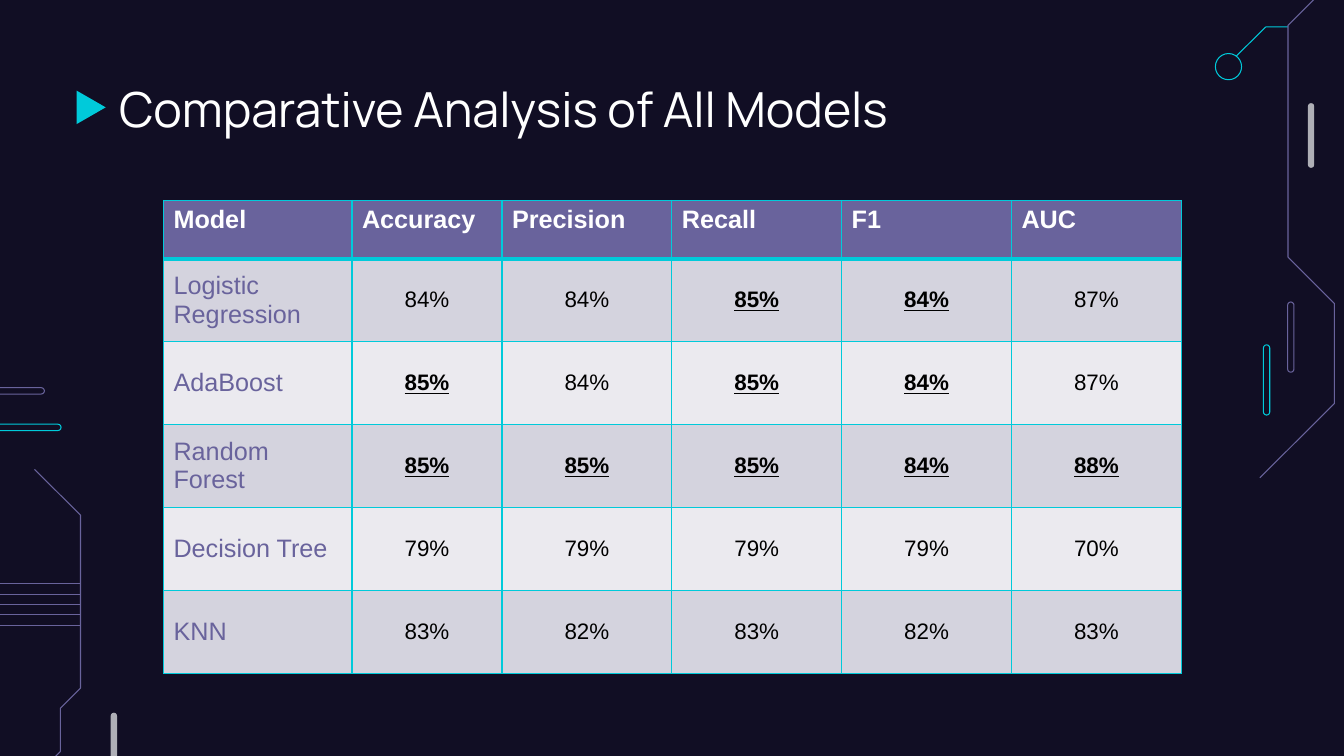
import pptx
import pptx.dml.color
import pptx.enum.shapes
import pptx.enum.text
import pptx.oxml
import pptx.oxml.ns
import pptx.util

Cm, Pt = pptx.util.Cm, pptx.util.Pt
RGBColor = pptx.dml.color.RGBColor
SHAPE = pptx.enum.shapes.MSO_SHAPE
ALIGN, ANCHOR = pptx.enum.text.PP_ALIGN, pptx.enum.text.MSO_ANCHOR

NIGHT = RGBColor(0x11, 0x0E, 0x24)
CYAN = RGBColor(0x00, 0xCA, 0xDA)
PURPLE = RGBColor(0x69, 0x63, 0x9C)
GREY = RGBColor(0xAF, 0xAF, 0xB6)
LILAC = RGBColor(0xD4, 0xD3, 0xDE)
MIST = RGBColor(0xEB, 0xEA, 0xEF)
WHITE = RGBColor(0xFF, 0xFF, 0xFF)
BLACK = RGBColor(0x00, 0x00, 0x00)

# Content
HEADING = "Comparative Analysis of All Models"
METRICS = ["Model", "Accuracy", "Precision", "Recall", "F1", "AUC"]
SCORES = [
    ("Logistic Regression", 84, 84, 85, 84, 87),
    ("AdaBoost", 85, 84, 85, 84, 87),
    ("Random Forest", 85, 85, 85, 84, 88),
    ("Decision Tree", 79, 79, 79, 79, 70),
    ("KNN", 83, 82, 83, 82, 83),
]

# Decoration, in cm: left, top, width, height, line colour, fill colour
PILLS = [
    (-0.23, 10.69, 1.77, 0.16, CYAN, None),
    (-0.65, 9.77, 1.77, 0.16, PURPLE, None),
    (31.84, 8.69, 0.16, 1.77, CYAN, None),
    (32.45, 7.61, 0.16, 1.77, PURPLE, None),
    (2.79, 17.96, 0.16, 1.63, None, GREY),
    (32.96, 2.6, 0.16, 1.63, None, GREY),
]
RING = (30.63, 1.35, 0.66, 0.66)
TRACES = [
    (CYAN, [(31.16, 1.41), (31.9, 0.68), (32.46, 0.68)]),
    (PURPLE, [(0.87, 11.83), (2.03, 12.98), (2.03, 17.34),
              (1.52, 17.85), (1.52, 18.94), (0.97, 19.48)]),
    (PURPLE, [(35.14, -2.03), (32.46, 0.64), (32.46, 6.48),
              (33.63, 7.65), (33.63, 10.17), (31.75, 12.04)]),
]
BUS_LEFT, BUS_RIGHT, BUS_TOP, BUS_STEP, BUS_COUNT = -1.55, 2.03, 14.71, 0.26, 5

# Table layout, in cm
TABLE_LEFT, TABLE_TOP = 4.12, 5.05
COLUMN_WIDTHS = [4.75, 3.78] + [4.28] * 4
ROW_HEIGHTS = [1.47] + [2.09] * len(SCORES)


def apply(target, formats):
    for name, value in formats.items():
        setattr(target, name, value)


def paint(shape, line=None, fill=None):
    shape.shadow.inherit = False
    if fill is None:
        shape.fill.background()
    else:
        shape.fill.solid()
        shape.fill.fore_color.rgb = fill
    if line is None:
        shape.line.fill.background()
    else:
        shape.line.color.rgb = line
        shape.line.width = Pt(0.75)


def write(frame, text, color, formats, align=ALIGN.LEFT):
    paragraph = frame.paragraphs[0]
    paragraph.alignment = align
    run = paragraph.add_run()
    run.text = text
    run.font.color.rgb = color
    apply(run.font, formats)


def set_borders(cell, widths):
    properties = cell._tc.get_or_add_tcPr()
    for place, (side, width) in enumerate(widths.items()):
        properties.insert(place, pptx.oxml.parse_xml(
            f'<a:{side} {pptx.oxml.ns.nsdecls("a")} w="{Pt(width)}"><a:solidFill>'
            f'<a:srgbClr val="{CYAN}"/></a:solidFill></a:{side}>'))


def draw_decoration(slide):
    shapes = slide.shapes
    for *box, line, fill in PILLS:
        pill = shapes.add_shape(SHAPE.ROUNDED_RECTANGLE, *map(Cm, box))
        pill.adjustments[0] = 0.5
        paint(pill, line, fill)
    paint(shapes.add_shape(SHAPE.OVAL, *map(Cm, RING)), CYAN)
    for color, points in TRACES:
        start, *others = [(Cm(x), Cm(y)) for x, y in points]
        builder = shapes.build_freeform(*start)
        builder.add_line_segments(others, close=False)
        paint(builder.convert_to_shape(), color)
    for index in range(BUS_COUNT):
        y = Cm(BUS_TOP + index * BUS_STEP)
        bus = shapes.add_connector(pptx.enum.shapes.MSO_CONNECTOR.STRAIGHT,
                                   Cm(BUS_RIGHT), y, Cm(BUS_LEFT), y)
        bus.line.color.rgb = PURPLE
        bus.line.width = Pt(0.75)
        bus._element.spPr.append(pptx.oxml.parse_xml(
            f'<a:effectLst {pptx.oxml.ns.nsdecls("a")}/>'))


def draw_heading(slide):
    marker = slide.shapes.add_shape(SHAPE.FLOWCHART_MERGE,
                                    Cm(1.88), Cm(2.34), Cm(0.84), Cm(0.73))
    marker.rotation = 270
    paint(marker, fill=CYAN)
    heading = slide.shapes.add_textbox(Cm(2.67), Cm(1.65), Cm(28.52), Cm(2.13))
    inset = Cm(0.33)
    apply(heading.text_frame, {
        "word_wrap": True, "vertical_anchor": ANCHOR.MIDDLE,
        "margin_left": inset, "margin_right": inset,
        "margin_top": inset, "margin_bottom": inset})
    write(heading.text_frame, HEADING, WHITE, {"name": "Manrope", "size": Pt(34.5)})


def draw_scores(slide):
    table = slide.shapes.add_table(
        len(ROW_HEIGHTS), len(COLUMN_WIDTHS), Cm(TABLE_LEFT), Cm(TABLE_TOP),
        Cm(sum(COLUMN_WIDTHS)), Cm(sum(ROW_HEIGHTS))).table
    apply(table, {"first_row": False, "horz_banding": False})
    for column, width in zip(table.columns, COLUMN_WIDTHS):
        column.width = Cm(width)
    for row, height in zip(table.rows, ROW_HEIGHTS):
        row.height = Cm(height)

    # The best score of each metric is bold and underlined
    best = [max(scores) for scores in list(zip(*SCORES))[1:]]
    for r, values in enumerate([METRICS] + SCORES):
        for c, value in enumerate(values):
            cell = table.cell(r, c)
            cell.fill.solid()
            formats = {"name": "Arial", "size": Pt(18), "bold": r == 0}
            if r == 0:
                cell.fill.fore_color.rgb = PURPLE
                write(cell.text_frame, value, WHITE, formats)
            else:
                cell.fill.fore_color.rgb = LILAC if r % 2 else MIST
                cell.vertical_anchor = ANCHOR.MIDDLE
                if c == 0:
                    write(cell.text_frame, value, PURPLE, formats)
                else:
                    top = value == best[c - 1]
                    formats.update(size=Pt(16), bold=top, underline=top)
                    write(cell.text_frame, f"{value}%", BLACK, formats, ALIGN.CENTER)
            set_borders(cell, {"lnL": 1, "lnR": 1, "lnT": 3 if r == 1 else 1,
                               "lnB": 3 if r == 0 else 1})


def main():
    deck = pptx.Presentation()
    apply(deck, {"slide_width": Cm(33.87), "slide_height": Cm(19.05)})
    slide = deck.slides.add_slide(deck.slide_layouts[6])
    slide.background.fill.solid()
    slide.background.fill.fore_color.rgb = NIGHT
    draw_decoration(slide)
    draw_heading(slide)
    draw_scores(slide)
    deck.save("out.pptx")


if __name__ == "__main__":
    main()
